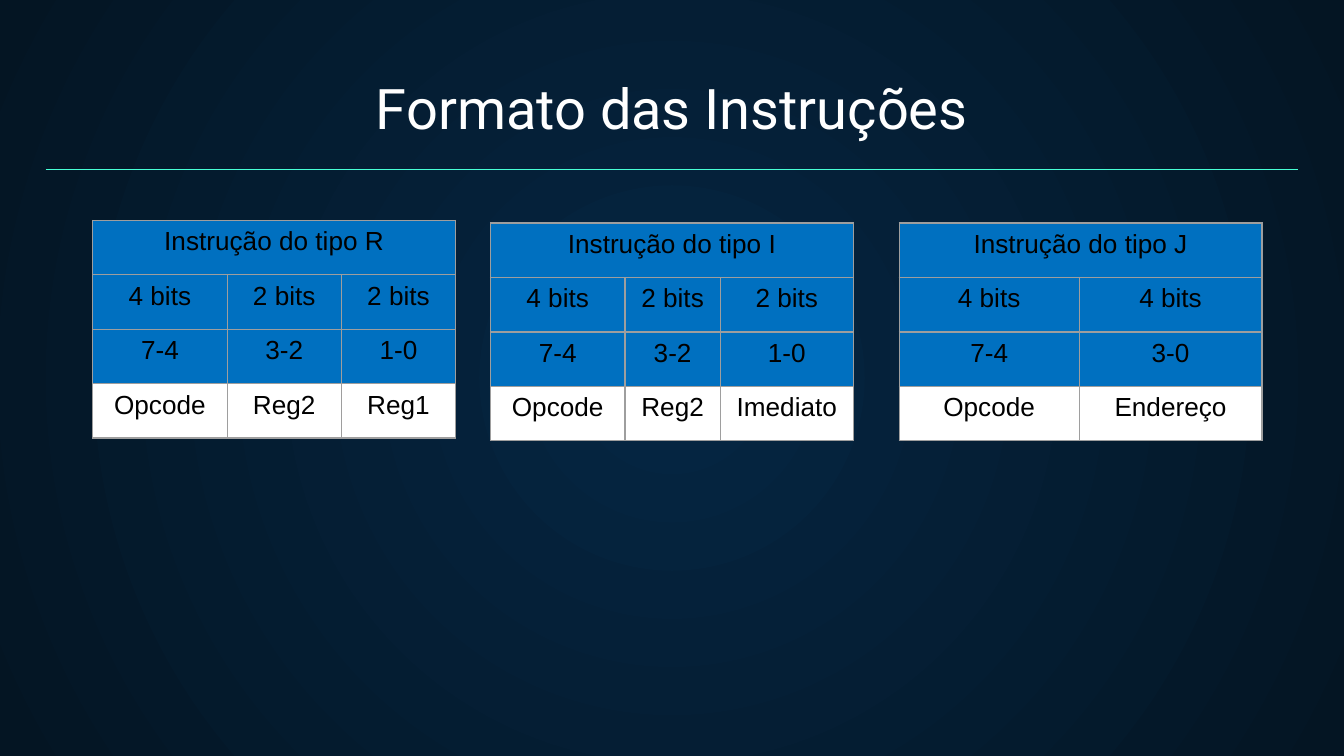
from lxml.etree import SubElement
from pptx import Presentation
from pptx.dml.color import RGBColor
from pptx.enum.shapes import MSO_CONNECTOR
from pptx.enum.text import MSO_ANCHOR, MSO_AUTO_SIZE, PP_ALIGN
from pptx.oxml.ns import qn
from pptx.util import Inches, Pt

TITLE = "Formato das Instruções"
FORMATS = [
    {
        "name": "Instrução do tipo R",
        "left": 0.69,
        "top": 1.64,
        "columns": [1, 0.85, 0.85],
        "fields": [
            ["4 bits", "2 bits", "2 bits"],
            ["7-4", "3-2", "1-0"],
            ["Opcode", "Reg2", "Reg1"],
        ],
    },
    {
        "name": "Instrução do tipo I",
        "left": 3.65,
        "top": 1.66,
        "columns": [1, 0.71, 0.99],
        "fields": [
            ["4 bits", "2 bits", "2 bits"],
            ["7-4", "3-2", "1-0"],
            ["Opcode", "Reg2", "Imediato"],
        ],
    },
    {
        "name": "Instrução do tipo J",
        "left": 6.69,
        "top": 1.66,
        "columns": [1.34, 1.36],
        "fields": [
            ["4 bits", "4 bits"],
            ["7-4", "3-0"],
            ["Opcode", "Endereço"],
        ],
    },
]

GLOW = RGBColor(0x05, 0x26, 0x43)
NIGHT = RGBColor(0x04, 0x15, 0x23)
MINT = RGBColor(0x48, 0xFF, 0xD5)
BLUE = RGBColor(0x00, 0x70, 0xC0)
GREY = RGBColor(0x9E, 0x9E, 0x9E)
WHITE = RGBColor(0xFF, 0xFF, 0xFF)
BLACK = RGBColor(0x00, 0x00, 0x00)

WIDTH = 10
HEIGHT = WIDTH * 9 / 16
MARGIN = 0.34
ROW = 1.62 / 4
HAIRLINE = Pt(0.75)


def paint_background(page):
    fill = page.background.fill
    fill.gradient()
    for stop, color in zip(fill.gradient_stops, (GLOW, NIGHT)):
        stop.color.rgb = color
    gradient = next(page.element.iter(qn("a:gradFill")))
    gradient.remove(gradient.find(qn("a:lin")))
    radial = SubElement(gradient, qn("a:path"), path="circle")
    center = dict.fromkeys("ltrb", "50000")
    SubElement(radial, qn("a:fillToRect"), center)


def style_text(frame, size, font, color):
    para = frame.paragraphs[0]
    para.alignment = PP_ALIGN.CENTER
    for span in para.runs:
        span.font.size = Pt(size)
        span.font.name = font
        span.font.bold = False
        span.font.color.rgb = color


def add_title(page):
    title = page.shapes.title
    title.left, title.top = Inches(MARGIN), Inches(0.49)
    title.width, title.height = Inches(WIDTH - 2 * MARGIN), Inches(0.66)
    frame = title.text_frame
    frame.text = TITLE
    frame.auto_size = MSO_AUTO_SIZE.NONE
    frame.vertical_anchor = MSO_ANCHOR.BOTTOM
    frame.margin_left = frame.margin_right = Inches(0.1)
    frame.margin_top = frame.margin_bottom = Inches(0.1)
    style_text(frame, 30, "Roboto", WHITE)


def add_rule(page):
    height = Inches(1.26)
    rule = page.shapes.add_connector(
        MSO_CONNECTOR.STRAIGHT, Inches(MARGIN), height, Inches(WIDTH - MARGIN), height
    )
    rule.line.color.rgb = MINT
    rule.line.width = HAIRLINE
    SubElement(rule.element.spPr, qn("a:effectLst"))


def style_cell(cell, text, color):
    cell.text = text
    style_text(cell.text_frame, 14, "Arial", BLACK)
    properties = cell._tc.get_or_add_tcPr()
    for side in ("lnL", "lnR", "lnT", "lnB"):
        border = SubElement(properties, qn(f"a:{side}"), w=str(HAIRLINE))
        solid = SubElement(border, qn("a:solidFill"))
        SubElement(solid, qn("a:srgbClr"), val=str(GREY))
    cell.fill.solid()
    cell.fill.fore_color.rgb = color


def add_grid(page, left, top, columns, rows, colors):
    table = page.shapes.add_table(
        len(rows), len(columns), Inches(left), Inches(top),
        Inches(sum(columns)), Inches(ROW * len(rows)),
    ).table
    for column, width in zip(table.columns, columns):
        column.width = Inches(width)
    for row, texts, color in zip(table.rows, rows, colors):
        row.height = Inches(ROW)
        for cell, text in zip(row.cells, texts):
            style_cell(cell, text, color)


def main():
    deck = Presentation()
    deck.slide_width, deck.slide_height = Inches(WIDTH), Inches(HEIGHT)
    page = deck.slides.add_slide(deck.slide_layouts[5])
    paint_background(page)
    add_title(page)
    add_rule(page)
    for item in FORMATS:
        left, top, columns = item["left"], item["top"], item["columns"]
        add_grid(page, left, top, [sum(columns)], [[item["name"]]], [BLUE])
        add_grid(page, left, top + ROW, columns, item["fields"], [BLUE, BLUE, WHITE])
    deck.save("out.pptx")


if __name__ == "__main__":
    main()
